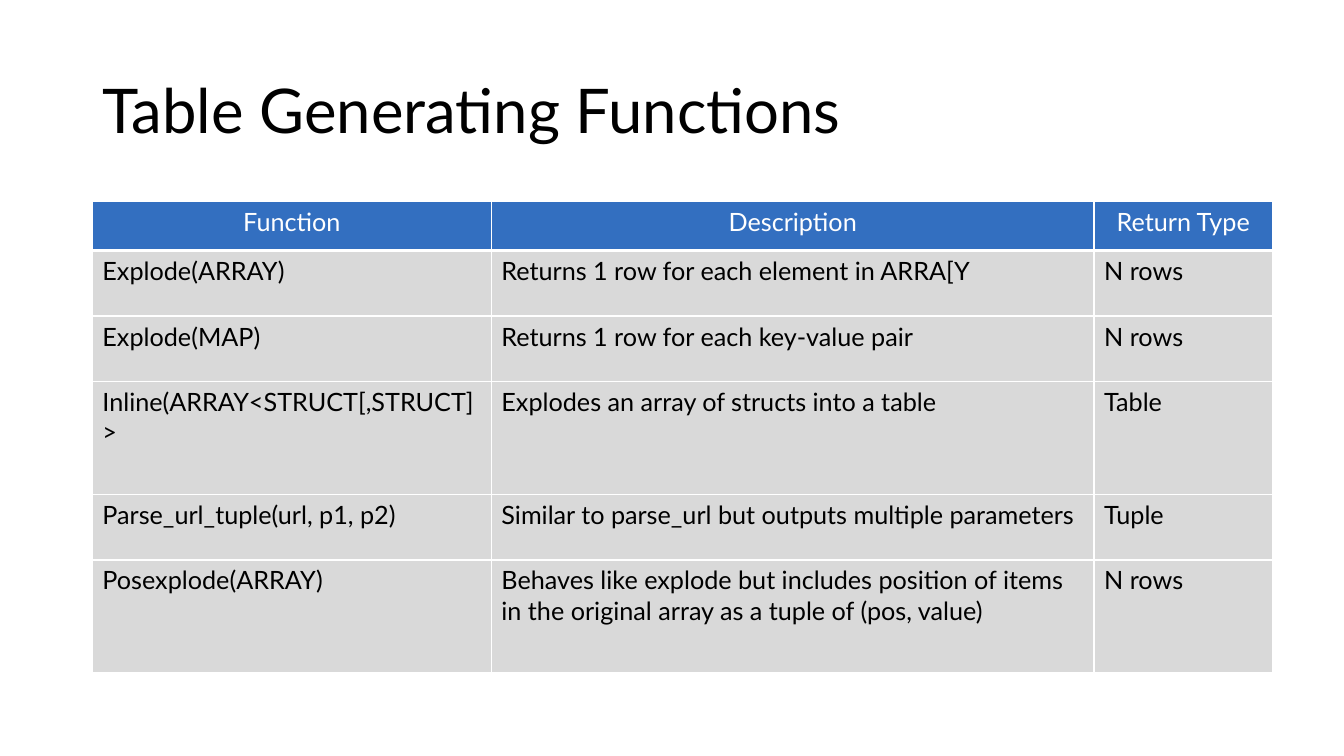
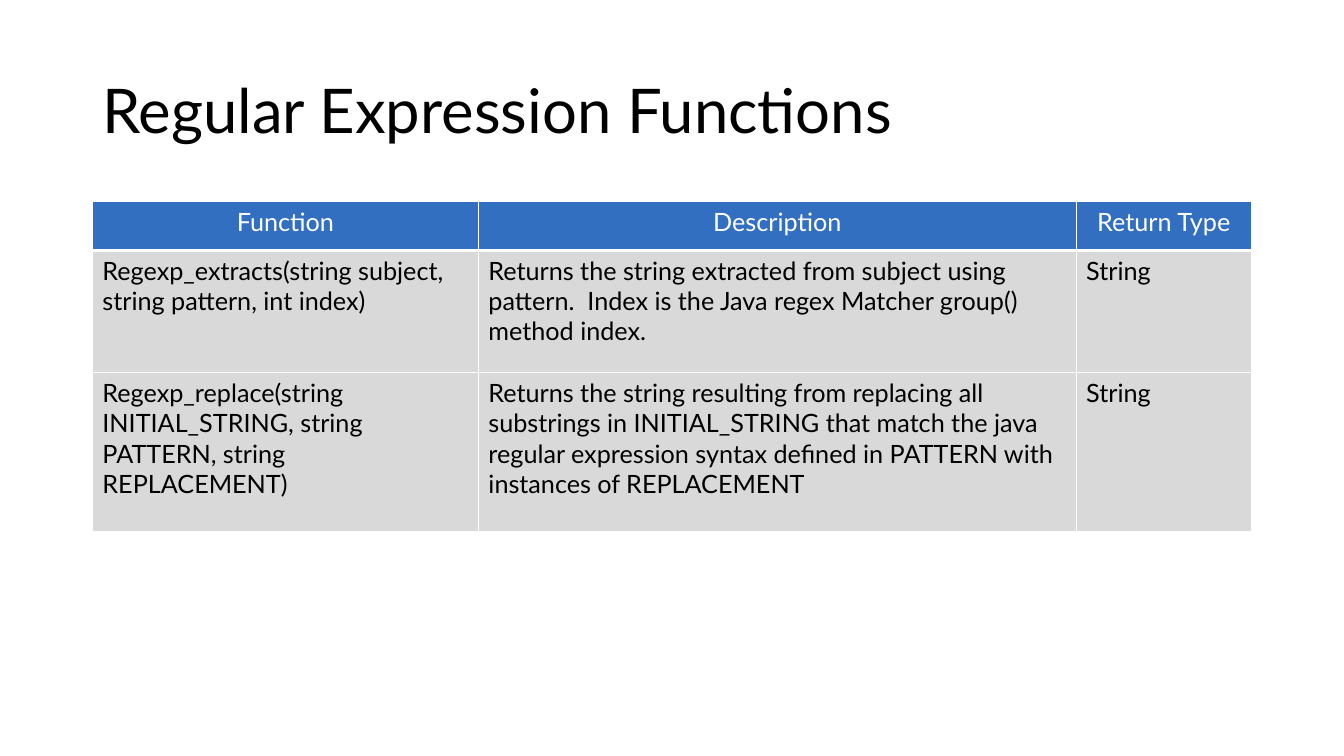
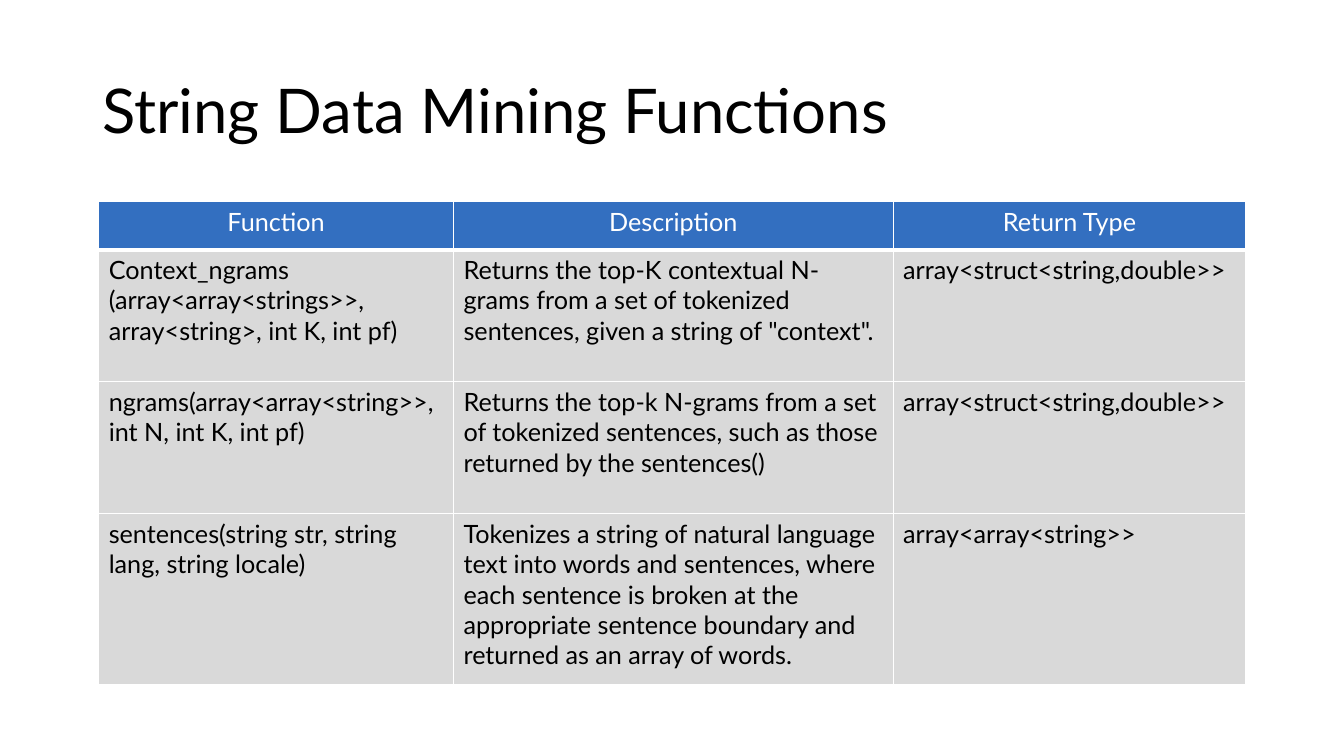
import dataclasses

import lxml.etree
import pptx
import pptx.dml.color
import pptx.enum.text
import pptx.oxml.ns
import pptx.presentation
import pptx.slide
import pptx.table
import pptx.text.text
import pptx.util

Pt = pptx.util.Pt
Color = pptx.dml.color.RGBColor
qn = pptx.oxml.ns.qn


@dataclasses.dataclass(frozen=True)
class Theme:
    font: str = "Lato"
    title_size: float = 44
    table_size: float = 18
    text: Color = Color(0x00, 0x00, 0x00)
    header_text: Color = Color(0xFF, 0xFF, 0xFF)
    header_fill: Color = Color(0x33, 0x6F, 0xC0)
    body_fill: Color = Color(0xD9, 0xD9, 0xD9)
    border: Color = Color(0xFF, 0xFF, 0xFF)
    thin_border: float = 1
    header_border: float = 3


@dataclasses.dataclass(frozen=True)
class FunctionSlide:
    title: str
    left: float
    column_widths: tuple[float, ...]
    row_heights: tuple[float, ...]
    functions: tuple[tuple[str, str, str], ...]


THEME = Theme()
SLIDE_WIDTH, SLIDE_HEIGHT = 960, 540
TITLE_BOX = (66, 28.75, 828, 104.4)
TABLE_TOP = 144
HEADINGS = ("Function", "Description", "Return Type")

FUNCTION_SLIDES = (
    FunctionSlide(
        "Table Generating Functions",
        66,
        (285, 430.5, 127.5),
        (35, 46.8, 46.8, 80.6, 46.8, 80.6),
        (
            ("Explode(ARRAY)", "Returns 1 row for each element in ARRA[Y", "N rows"),
            ("Explode(MAP)", "Returns 1 row for each key-value pair", "N rows"),
            ("Inline(ARRAY<STRUCT[,STRUCT]>", "Explodes an array of structs into a table", "Table"),
            (
                "Parse_url_tuple(url, p1, p2)",
                "Similar to parse_url but outputs multiple parameters",
                "Tuple",
            ),
            (
                "Posexplode(ARRAY)",
                "Behaves like explode but includes position of items in the original array "
                "as a tuple of (pos, value)",
                "N rows",
            ),
        ),
    ),
    FunctionSlide(
        "Regular Expression Functions",
        66,
        (275.75, 427, 125.25),
        (35, 87.2, 113.8),
        (
            (
                "Regexp_extracts(string subject, string pattern, int index)",
                "Returns the string extracted from subject using pattern.  Index is the "
                "Java regex Matcher group() method index.",
                "String",
            ),
            (
                "Regexp_replace(string INITIAL_STRING, string PATTERN, string REPLACEMENT)",
                "Returns the string resulting from replacing all substrings in INITIAL_STRING "
                "that match the java regular expression syntax defined in PATTERN with "
                "instances of REPLACEMENT",
                "String",
            ),
        ),
    ),
    FunctionSlide(
        "String Data Mining Functions",
        70.5,
        (253.5, 314, 252),
        (34.4, 94.3, 94.3, 122.4),
        (
            (
                "Context_ngrams\n(array<array<strings>>, array<string>, int K, int pf)",
                "Returns the top-K contextual N-grams from a set of tokenized sentences, "
                'given a string of "context".',
                "array<struct<string,double>>",
            ),
            (
                "ngrams(array<array<string>>, int N, int K, int pf)",
                "Returns the top-k N-grams from a set of tokenized sentences, such as those "
                "returned by the sentences()",
                "array<struct<string,double>>",
            ),
            (
                "sentences(string str, string lang, string locale)",
                "Tokenizes a string of natural language text into words and sentences, where "
                "each sentence is broken at the appropriate sentence boundary and returned "
                "as an array of words.",
                "array<array<string>>",
            ),
        ),
    ),
)


def add_run(paragraph: pptx.text.text._Paragraph, text: str, size: float, color: Color) -> None:
    run = paragraph.add_run()
    run.text = text
    run.font.name = THEME.font
    run.font.size = Pt(size)
    run.font.bold = False
    run.font.color.rgb = color


def add_title(slide: pptx.slide.Slide, title: str) -> None:
    text_frame = slide.shapes.add_textbox(*map(Pt, TITLE_BOX)).text_frame
    text_frame.word_wrap = True
    text_frame.vertical_anchor = pptx.enum.text.MSO_ANCHOR.MIDDLE
    paragraph = text_frame.paragraphs[0]
    paragraph.line_spacing = 0.9
    add_run(paragraph, title, THEME.title_size, THEME.text)


def set_borders(cell: pptx.table._Cell, row_index: int) -> None:
    """Draw thin cell borders, with a thick line between header and body."""
    widths = {side: THEME.thin_border for side in ("L", "R", "T", "B")}
    if row_index == 0:
        widths["B"] = THEME.header_border
    elif row_index == 1:
        widths["T"] = THEME.header_border
    properties = cell._tc.get_or_add_tcPr()
    for side, width in widths.items():
        line = lxml.etree.SubElement(properties, qn(f"a:ln{side}"), w=str(Pt(width)))
        fill = lxml.etree.SubElement(line, qn("a:solidFill"))
        lxml.etree.SubElement(fill, qn("a:srgbClr"), val=str(THEME.border))


def fill_cell(cell: pptx.table._Cell, text: str, row_index: int) -> None:
    is_header = row_index == 0
    set_borders(cell, row_index)
    cell.fill.solid()
    cell.fill.fore_color.rgb = THEME.header_fill if is_header else THEME.body_fill
    for index, line in enumerate(text.split("\n")):
        text_frame = cell.text_frame
        paragraph = text_frame.add_paragraph() if index else text_frame.paragraphs[0]
        if is_header:
            paragraph.alignment = pptx.enum.text.PP_ALIGN.CENTER
        add_run(paragraph, line, THEME.table_size, THEME.header_text if is_header else THEME.text)


def add_function_table(slide: pptx.slide.Slide, content: FunctionSlide) -> None:
    rows = (HEADINGS, *content.functions)
    table = slide.shapes.add_table(
        len(rows),
        len(HEADINGS),
        Pt(content.left),
        Pt(TABLE_TOP),
        Pt(sum(content.column_widths)),
        Pt(sum(content.row_heights)),
    ).table
    table.horz_banding = False
    for column, width in zip(table.columns, content.column_widths):
        column.width = Pt(width)
    for row_index, (height, texts) in enumerate(zip(content.row_heights, rows)):
        table.rows[row_index].height = Pt(height)
        for column_index, text in enumerate(texts):
            fill_cell(table.cell(row_index, column_index), text, row_index)


def add_function_slide(presentation: pptx.presentation.Presentation, content: FunctionSlide) -> None:
    slide = presentation.slides.add_slide(presentation.slide_layouts[6])
    add_title(slide, content.title)
    add_function_table(slide, content)


def main() -> None:
    presentation = pptx.Presentation()
    presentation.slide_width = Pt(SLIDE_WIDTH)
    presentation.slide_height = Pt(SLIDE_HEIGHT)
    for content in FUNCTION_SLIDES:
        add_function_slide(presentation, content)
    presentation.save("out.pptx")


if __name__ == "__main__":
    main()
